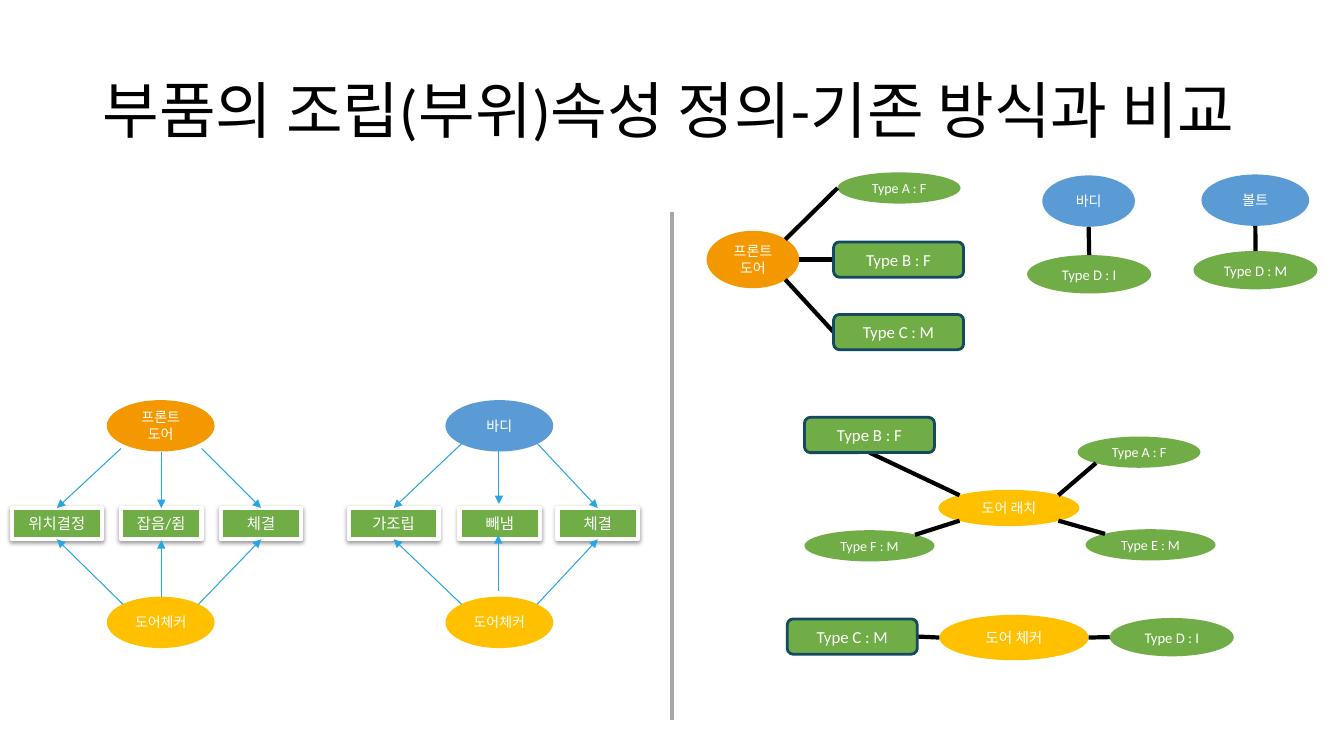
from dataclasses import dataclass
from lxml import etree
from pptx import Presentation
from pptx.dml.color import RGBColor
from pptx.enum.shapes import MSO_CONNECTOR, MSO_SHAPE
from pptx.enum.text import MSO_ANCHOR, PP_ALIGN
from pptx.oxml import parse_xml
from pptx.oxml.ns import nsdecls, qn
from pptx.util import Pt

STRAIGHT = MSO_CONNECTOR.STRAIGHT
ELLIPSE, RECTANGLE, ROUNDED = MSO_SHAPE.OVAL, MSO_SHAPE.RECTANGLE, MSO_SHAPE.ROUNDED_RECTANGLE
MIDDLE, CENTER, LEFT = MSO_ANCHOR.MIDDLE, PP_ALIGN.CENTER, PP_ALIGN.LEFT


@dataclass(frozen=True)
class Theme:
    font: str = "Calibri"
    title_size: float = 44
    small: float = 10
    medium: float = 10.5
    step: float = 11
    label: float = 12
    black: str = "000000"
    white: str = "FFFFFF"
    orange: str = "F39800"
    blue: str = "5B9BD5"
    yellow: str = "FFC000"
    green: str = "70AD47"
    grey: str = "A5A5A5"
    arrow: str = "29A5DF"
    navy: str = "144962"


THEME = Theme()
TITLE = "부품의 조립(부위)속성 정의-기존 방식과 비교"
TITLE_BOX = (66.2, 28.8, 828, 104.4)
DIVIDER = ((480.2, 151.2), (480.2, 514.1))

# name: (text, fill, type size, (left, top, width, height))
PARTS = {
    "checker": ("도어 체커", THEME.yellow, THEME.medium, (671, 439.2, 106.6, 32.4)),
    "checker D": ("Type D : I", THEME.green, THEME.medium, (792.7, 441.4, 88.6, 27.4)),
    "latch": ("도어 래치", THEME.yellow, THEME.small, (670.3, 349.9, 100.8, 25.9)),
    "latch A": ("Type A : F", THEME.green, THEME.small, (769.7, 311.8, 87.8, 22.3)),
    "latch E": ("Type E : M", THEME.green, THEME.small, (775.4, 378, 92.9, 22.3)),
    "latch F": ("Type F : M", THEME.green, THEME.small, (574.6, 378.7, 92.9, 22.3)),
    "door": ("프론트 도어", THEME.orange, THEME.small, (504.7, 164.9, 66.2, 41)),
    "door A": ("Type A : F", THEME.green, THEME.small, (598.3, 123.1, 87.8, 22.3)),
    "body": ("바디", THEME.blue, THEME.small, (744.5, 125.3, 66.2, 36.7)),
    "body D": ("Type D : I", THEME.green, THEME.medium, (733.7, 182.2, 88.6, 27.4)),
    "bolt": ("볼트", THEME.blue, THEME.small, (858.2, 124.6, 77, 36.7)),
    "bolt D": ("Type D : M", THEME.green, THEME.medium, (852.5, 179.3, 88.6, 27.4)),
}
# name: (text, left, top)
MATCHED_TYPES = {
    "checker C": ("Type C : M", 562.3, 442.1),
    "latch B": ("Type B : F", 574.6, 298.1),
    "door C": ("Type C : M", 595.4, 224.6),
    "door B": ("Type B : F", 595.4, 172.8),
}
MATCHED_SIZE = (92.9, 25.2)
PART_LINKS = [
    ("checker C", "right", "checker", "left"),
    ("checker", "right", "checker D", "left"),
    ("latch B", "bottom", "latch", "top left"),
    ("latch", "top right", "latch A", "bottom left"),
    ("latch", "bottom right", "latch E", "top left"),
    ("latch", "bottom left", "latch F", "top right"),
    ("door", "top right", "door A", "left"),
    ("door", "right", "door B", "left"),
    ("door", "bottom right", "door C", "left"),
    ("body", "bottom", "body D", "top"),
    ("bolt", "bottom", "bolt D", "top"),
]

# Existing method: upper part, fill, left edge, steps (text, left),
# and arrow starts and middle arrow tips where they stand off the shapes
PANELS = [
    {"part": "프론트 도어", "fill": THEME.orange, "left": 76.3,
     "steps": [("위치결정", 8.6), ("잡음/쥠", 86.4), ("체결", 157.7)],
     "upper starts": [(86.4, 320.4), (115.2, 322.6), (144, 320.4)],
     "middle": (115.2, 362.9, 426.2, 385.9)},
    {"part": "바디", "fill": THEME.blue, "left": 318.2,
     "steps": [("가조립", 249.1), ("빼냄", 328.3), ("체결", 398.2)],
     "upper starts": [(329.8, 316.8), (356.4, 320.4), (383.8, 316.8)],
     "middle": (355.9, 360, 421.9, 382.3)},
]
LOWER_PART = "도어체커"
PANEL_PART_SIZE = (77, 36.7)
UPPER_TOP, STEP_TOP, LOWER_TOP = 285.8, 362.9, 426.2
STEP_WIDTHS, STEP_HEIGHT = (64.1, 57.6, 57.6), 22.3

SITES = {
    "left": (0, 0.5), "right": (1, 0.5), "top": (0.5, 0), "bottom": (0.5, 1),
    "top left": (0.15, 0.15), "top right": (0.85, 0.15),
    "bottom left": (0.15, 0.85), "bottom right": (0.85, 0.85),
}
SHADOW = (
    f'<a:outerShdw {nsdecls("a")} blurRad="{Pt(3.1)}" dist="{Pt(1.6)}" dir="5400000" '
    'algn="t" rotWithShape="0"><a:srgbClr val="000000"><a:alpha val="38000"/>'
    '</a:srgbClr></a:outerShdw>'
)


def site_point(box, site):
    """Point on the edge of a box where a line attaches."""
    left, top, width, height = box
    across, down = SITES[site]
    return left + across * width, top + down * height


def write_text(shape, text, size, colour, alignment):
    frame = shape.text_frame
    frame.word_wrap = True
    frame.vertical_anchor = MIDDLE
    paragraph = frame.paragraphs[0]
    paragraph.alignment = alignment
    run = paragraph.add_run()
    run.text = text
    for name, value in {"name": THEME.font, "size": Pt(size)}.items():
        setattr(run.font, name, value)
    run.font.color.rgb = RGBColor.from_string(colour)
    return paragraph


def add_node(slide, kind, box, text, fill, size, outline=None, shadow=False):
    """Labelled shape; outline is (colour, width)."""
    shape = slide.shapes.add_shape(kind, *map(Pt, box))
    shape.shadow.inherit = False
    shape.fill.solid()
    shape.fill.fore_color.rgb = RGBColor.from_string(fill)
    if outline:
        shape.line.color.rgb = RGBColor.from_string(outline[0])
        shape.line.width = Pt(outline[1])
    else:
        shape.line.fill.background()
    if shadow:
        shape.element.spPr.find(qn("a:effectLst")).append(parse_xml(SHADOW))
    write_text(shape, text, size, THEME.white, CENTER)


def add_line(slide, start, end, colour, width, arrow=False):
    line = slide.shapes.add_connector(STRAIGHT, *map(Pt, (*start, *end)))
    line.line.color.rgb = RGBColor.from_string(colour)
    line.line.width = Pt(width)
    if arrow:
        etree.SubElement(line.line._get_or_add_ln(), qn("a:tailEnd"), type="triangle")
    etree.SubElement(line._element.spPr, qn("a:effectLst"))


def add_panel(slide, panel):
    """Upper and lower part with arrows to the three steps between them."""
    upper = (panel["left"], UPPER_TOP, *PANEL_PART_SIZE)
    lower = (panel["left"], LOWER_TOP, *PANEL_PART_SIZE)
    add_node(slide, ELLIPSE, upper, panel["part"], panel["fill"], THEME.small)
    add_node(slide, ELLIPSE, lower, LOWER_PART, THEME.yellow, THEME.small)
    steps = [(left, STEP_TOP, width, STEP_HEIGHT)
             for (_, left), width in zip(panel["steps"], STEP_WIDTHS)]
    for (text, _), box in zip(panel["steps"], steps):
        add_node(slide, RECTANGLE, box, text, THEME.green, THEME.step,
                 (THEME.white, 3), shadow=True)

    first, _, last = steps
    start_left, start_middle, start_right = panel["upper starts"]
    lower_x, upper_tip, lower_start, lower_tip = panel["middle"]
    arrows = [
        (start_left, site_point(first, "top")),
        (start_middle, (start_middle[0], upper_tip)),
        (start_right, site_point(last, "top")),
        (site_point(lower, "top left"), site_point(first, "bottom")),
        ((lower_x, lower_start), (lower_x, lower_tip)),
        (site_point(lower, "top right"), site_point(last, "bottom")),
    ]
    for start, end in arrows:
        add_line(slide, start, end, THEME.arrow, 0.75, arrow=True)


def add_part_types(slide):
    """Parts of the new method, each joined to its types."""
    boxes = {name: part[3] for name, part in PARTS.items()}
    for name, (_, left, top) in MATCHED_TYPES.items():
        boxes[name] = (left, top, *MATCHED_SIZE)
    for name, (text, fill, size, box) in PARTS.items():
        add_node(slide, ELLIPSE, box, text, fill, size)
    for start, start_site, end, end_site in PART_LINKS:
        add_line(slide, site_point(boxes[start], start_site),
                 site_point(boxes[end], end_site), THEME.black, 3)
    for name, (text, _, _) in MATCHED_TYPES.items():
        add_node(slide, ROUNDED, boxes[name], text, THEME.green, THEME.label,
                 (THEME.navy, 2))


def main():
    presentation = Presentation()
    presentation.slide_width, presentation.slide_height = Pt(960), Pt(540)
    slide = presentation.slides.add_slide(presentation.slide_layouts[6])
    title = slide.shapes.add_textbox(*map(Pt, TITLE_BOX))
    write_text(title, TITLE, THEME.title_size, THEME.black, LEFT).line_spacing = 0.9
    add_line(slide, *DIVIDER, THEME.grey, 3)
    for panel in PANELS:
        add_panel(slide, panel)
    add_part_types(slide)
    presentation.save("out.pptx")


if __name__ == "__main__":
    main()
